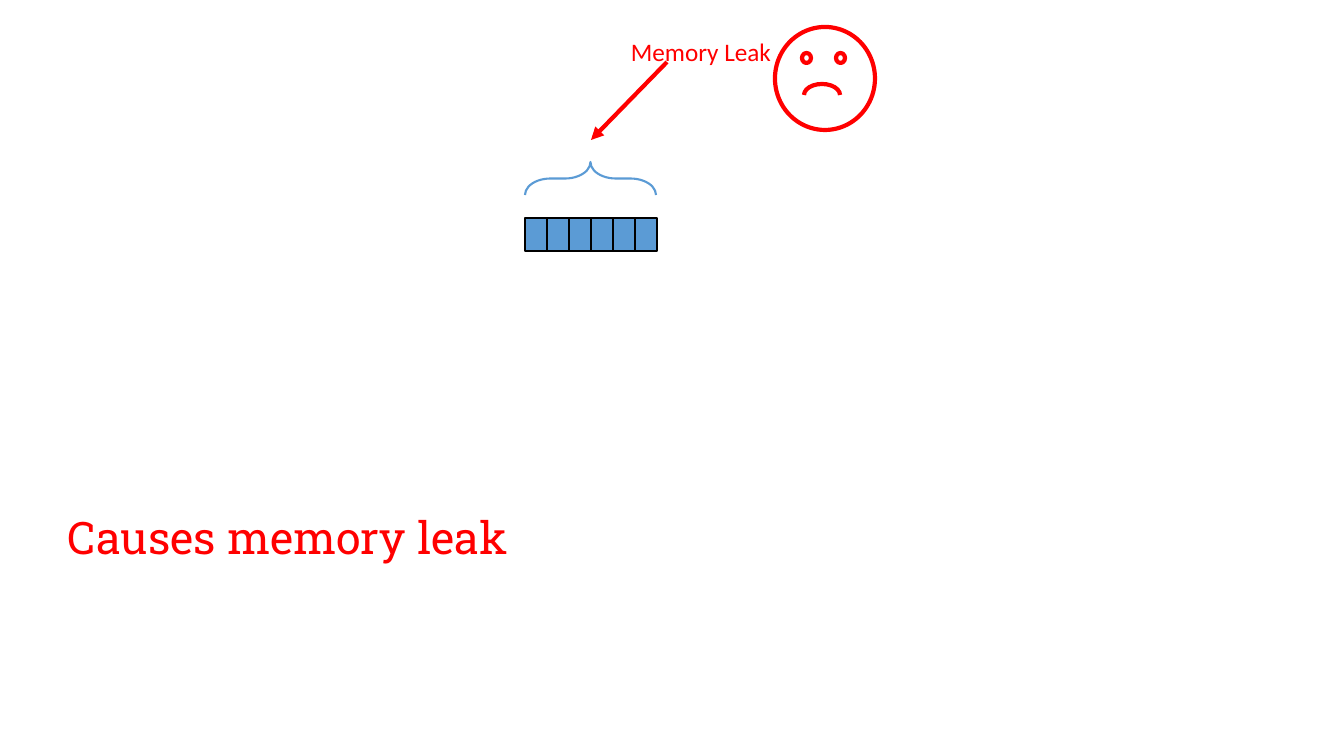
from pptx import Presentation
from pptx.dml.color import RGBColor
from pptx.enum.shapes import MSO_CONNECTOR, MSO_SHAPE
from pptx.enum.text import MSO_AUTO_SIZE
from pptx.oxml.ns import qn
from pptx.util import Emu, Pt
from lxml.etree import SubElement

COLORS = {name: RGBColor.from_string(value) for name, value in {
    "blue": "5B9BD5", "red": "FF0000", "black": "000000", "white": "FFFFFF"}.items()}
SCALE = 914400 / 100.8


def px(*lengths):
    return [Emu(round(length * SCALE)) for length in lengths]


def add_outlined(kind, box, fill, line, width):
    shape = slide.shapes.add_shape(kind, *px(*box))
    shape.shadow.inherit = False
    if fill:
        shape.fill.solid()
        shape.fill.fore_color.rgb = COLORS[fill]
    else:
        shape.fill.background()
    shape.line.color.rgb = COLORS[line]
    shape.line.width = Pt(width)
    return shape


presentation = Presentation()
presentation.slide_width, presentation.slide_height = px(1344, 756)
slide = presentation.slides.add_slide(presentation.slide_layouts[6])

for index in range(6):
    add_outlined(MSO_SHAPE.RECTANGLE, (525 + 22 * index, 218, 22, 33), "blue", "black", 1)

brace = add_outlined(MSO_SHAPE.RIGHT_BRACE, (574, 113, 33, 131), None, "blue", 1.5)
brace.rotation = 270
brace.adjustments[0] = 0.77
brace.adjustments[1] = 0.5

arrow = slide.shapes.add_connector(MSO_CONNECTOR.STRAIGHT, *px(667, 62, 591, 140))
arrow.line.color.rgb = COLORS["red"]
arrow.line.width = Pt(3)
SubElement(arrow.line._get_or_add_ln(), qn("a:tailEnd"), type="triangle")
SubElement(arrow._element.spPr, qn("a:effectLst"))

face_parts = [(775, 27, 100, 103), (802, 53, 9, 10), (836, 53, 9, 10)]
for box in face_parts:
    add_outlined(MSO_SHAPE.OVAL, box, "white", "red", 3)

frown = add_outlined(MSO_SHAPE.ARC, (804, 84, 36, 22), None, "red", 3)
frown.adjustments[0] = 108
frown.adjustments[1] = 0

labels = [
    ("Memory Leak", (621, 31, 162, 40), "Calibri", 18, False),
    ("Causes memory leak", (58, 505, 1136, 65), "Roboto Slab", 32, True),
]
for text, box, font, size, wrap in labels:
    text_frame = slide.shapes.add_textbox(*px(*box)).text_frame
    text_frame.word_wrap = wrap
    text_frame.auto_size = MSO_AUTO_SIZE.SHAPE_TO_FIT_TEXT
    run = text_frame.paragraphs[0].add_run()
    run.text = text
    run.font.name = font
    run.font.size = Pt(size)
    run.font.color.rgb = COLORS["red"]

presentation.save("out.pptx")
